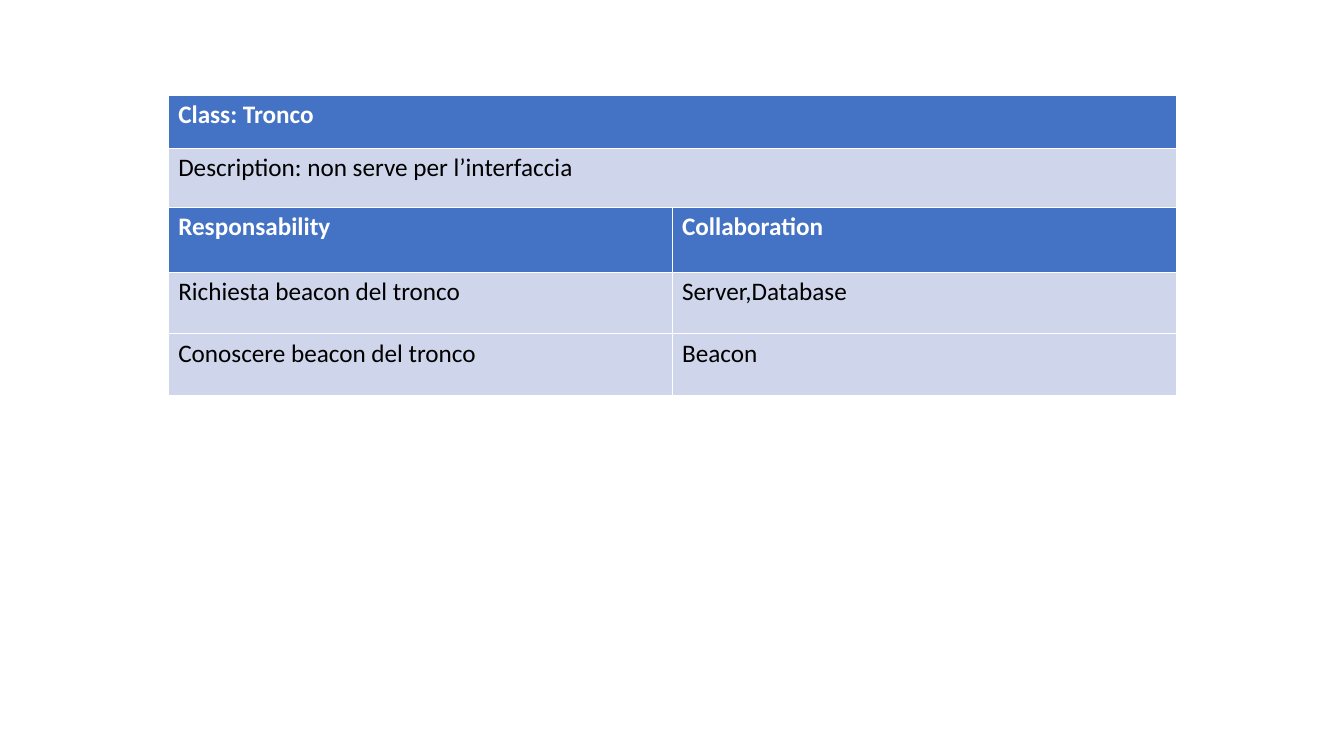
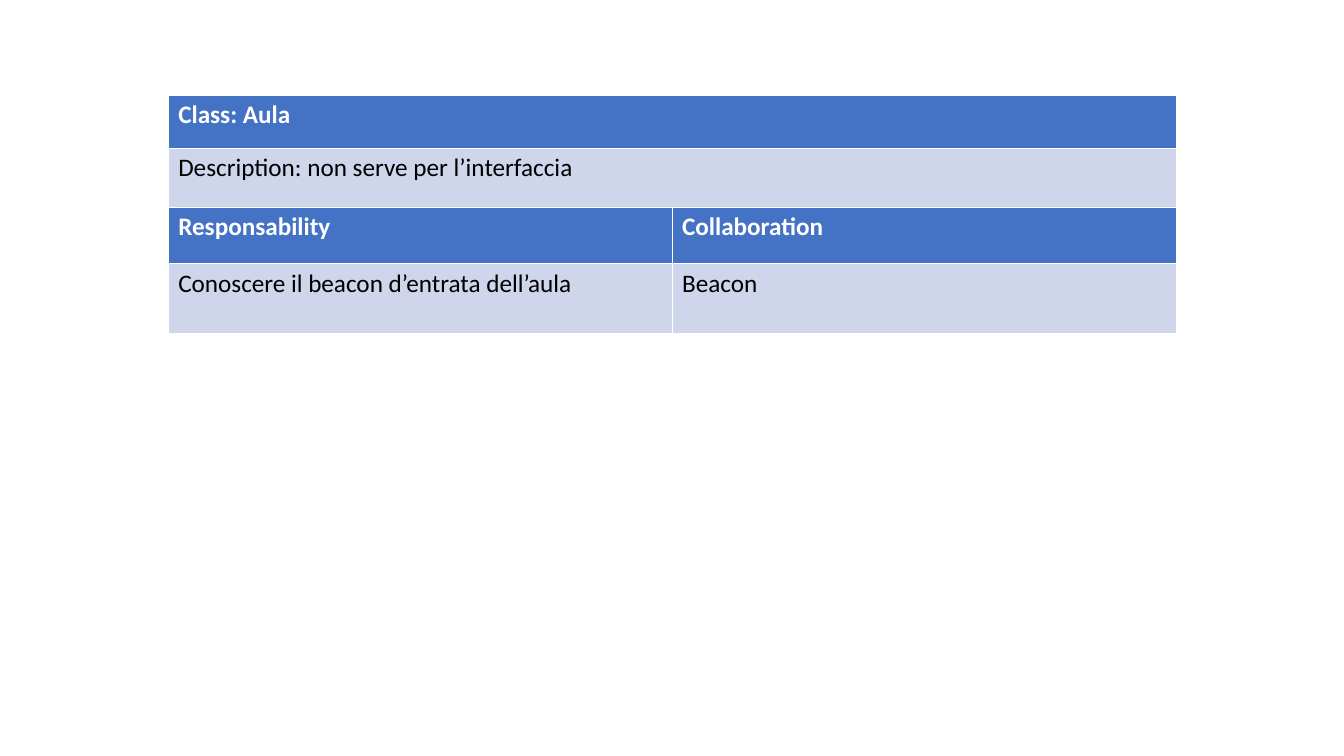
"""Builds two class cards, each with a heading table and a duties table."""
from lxml.etree import SubElement
from pptx import Presentation
from pptx.dml.color import RGBColor as Rgb
from pptx.oxml.ns import qn
from pptx.util import Cm, Pt

BLUE = Rgb(0x44, 0x72, 0xC4)
PALE = Rgb(0xCF, 0xD5, 0xEA)
WHITE = Rgb(0xFF, 0xFF, 0xFF)
BLACK = Rgb(0x00, 0x00, 0x00)
FONT = "Calibri"
SIZE = Pt(18)
THIN, THICK = Pt(0.11), Pt(0.34)
LEFT, TOP, WIDTH = Cm(4.24), Cm(2.39), Cm(25.4)
HEAD = (Cm(1.34), Cm(1.49))
NOTE = "Description: non serve per l’interfaccia"
DUTY = ("Responsability", "Collaboration")

CARDS = [
    ("Tronco", (Cm(1.63), Cm(1.55), Cm(1.55)),
     [("Richiesta beacon del tronco", "Server,Database"),
      ("Conoscere beacon del tronco", "Beacon")]),
    ("Aula", (Cm(1.42), Cm(1.75)),
     [("Conoscere il beacon d’entrata dell’aula", "Beacon")]),
]


def add_edges(cell, top, base):
    """Draw white lines around a cell."""
    props = cell._tc.get_or_add_tcPr()
    for side, width in zip("LRTB", (THIN, THIN, top, base)):
        line = SubElement(props, qn(f"a:ln{side}"), w=str(width))
        fill = SubElement(line, qn("a:solidFill"))
        SubElement(fill, qn("a:srgbClr"), val=str(WHITE))


def fill_cell(cell, text, head):
    """Write a cell as a heading or as a body entry."""
    cell.fill.solid()
    cell.fill.fore_color.rgb = BLUE if head else PALE
    cell.text = text
    para = cell.text_frame.paragraphs[0]
    para.line_spacing = 0.96
    font = para.font
    font.name, font.size, font.bold = FONT, SIZE, head
    font.color.rgb = WHITE if head else BLACK


def add_grid(slide, top, sizes, rows):
    """Add a table whose first row is the heading."""
    frame = slide.shapes.add_table(len(rows), len(rows[0]), LEFT, top,
                                   WIDTH, sum(sizes))
    table = frame.table
    last = len(rows) - 1
    for i, (size, row) in enumerate(zip(sizes, rows)):
        table.rows[i].height = size
        for j, text in enumerate(row):
            cell = table.cell(i, j)
            add_edges(cell, THICK if i else THIN, THICK if i < last else THIN)
            fill_cell(cell, text, i == 0)


def add_card(deck, name, sizes, duties):
    """Add a slide with the card of one class."""
    slide = deck.slides.add_slide(deck.slide_layouts[6])
    add_grid(slide, TOP + sum(HEAD), sizes, [DUTY, *duties])
    add_grid(slide, TOP, HEAD, [(f"Class: {name}",), (NOTE,)])


def main():
    """Build and save the deck."""
    deck = Presentation()
    deck.slide_width, deck.slide_height = Cm(33.88), Cm(19.05)
    for card in CARDS:
        add_card(deck, *card)
    deck.save("out.pptx")


if __name__ == "__main__":
    main()
